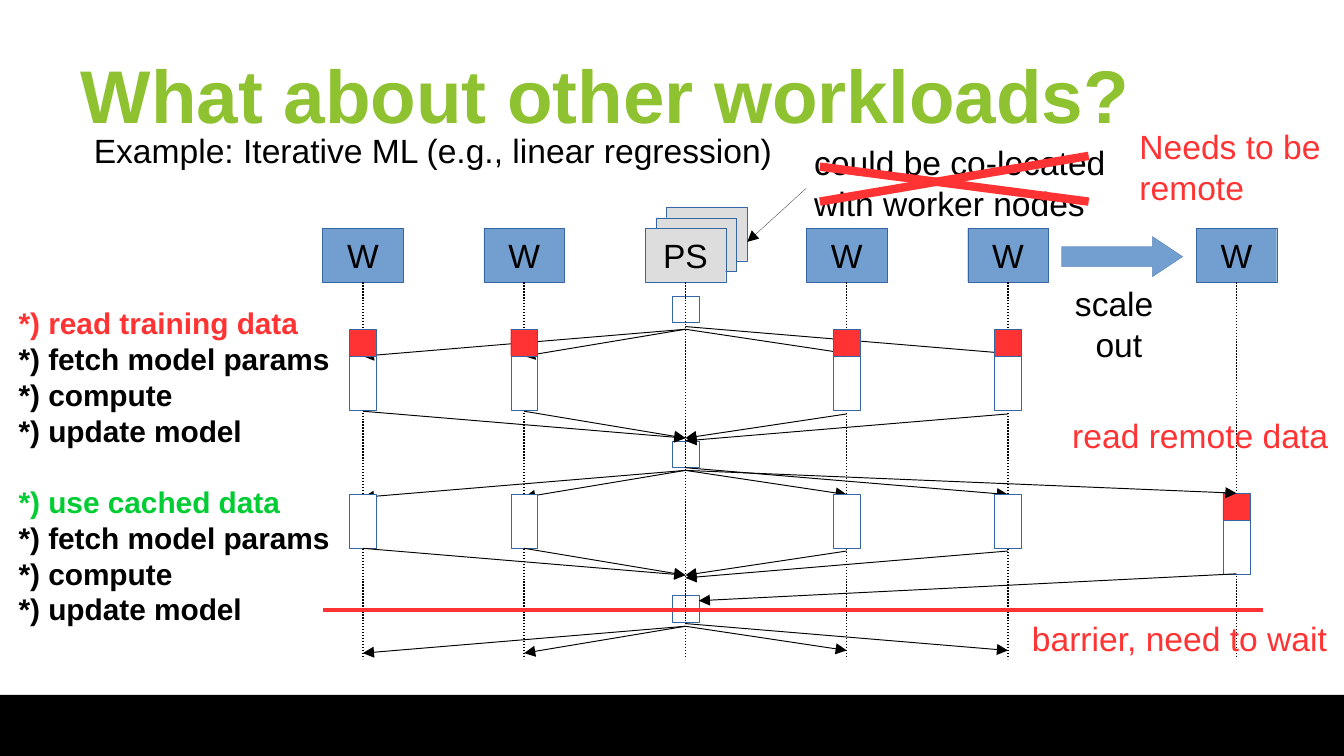
"""Build the slide on scaling out an iterative ML workload."""
from lxml.etree import SubElement
from pptx import Presentation
from pptx.dml.color import RGBColor
from pptx.enum.dml import MSO_LINE
from pptx.enum.shapes import MSO_CONNECTOR, MSO_SHAPE
from pptx.enum.text import MSO_ANCHOR, MSO_AUTO_SIZE, PP_ALIGN
from pptx.oxml.ns import qn
from pptx.util import Inches, Pt

BLACK = RGBColor(0x00, 0x00, 0x00)
WHITE = RGBColor(0xFF, 0xFF, 0xFF)
LIME = RGBColor(0x8F, 0xC2, 0x30)
GREEN = RGBColor(0x00, 0xCC, 0x33)
RED = RGBColor(0xFF, 0x33, 0x33)
BLUE = RGBColor(0x72, 0x9F, 0xCF)
OUTLINE = RGBColor(0x34, 0x65, 0xA4)
GRAY = RGBColor(0xDD, 0xDD, 0xDD)
HAIRLINE = 0.1

prs = Presentation()
prs.slide_width, prs.slide_height = Inches(10), Inches(10 * 9 / 16)
s = prs.slides.add_slide(prs.slide_layouts[5])


def add_box(x, y, w, h, fill, label="", kind=MSO_SHAPE.RECTANGLE):
    sp = s.shapes.add_shape(kind, Inches(x), Inches(y), Inches(w), Inches(h))
    sp.shadow.inherit = False
    sp.fill.solid()
    sp.fill.fore_color.rgb = fill
    sp.line.color.rgb = OUTLINE
    sp.line.width = Pt(HAIRLINE)
    if label:
        tf = sp.text_frame
        tf.word_wrap = False
        tf.vertical_anchor = MSO_ANCHOR.MIDDLE
        p = tf.paragraphs[0]
        p.alignment = PP_ALIGN.CENTER
        r = p.add_run()
        r.text = label
        r.font.name, r.font.size = "Arial", Pt(18)
        r.font.color.rgb = BLACK
    return sp


def add_line(x1, y1, x2, y2, width=0.5, color=BLACK, arrow=True):
    ln = s.shapes.add_connector(MSO_CONNECTOR.STRAIGHT, Inches(x1), Inches(y1),
                                Inches(x2), Inches(y2))
    ln.line.color.rgb = color
    ln.line.width = Pt(width)
    if arrow:
        SubElement(ln._element.spPr.find(qn("a:ln")), qn("a:tailEnd"), type="triangle")
    SubElement(ln._element.spPr, qn("a:effectLst"))
    return ln


footer = add_box(0, 5.17, 10, 0.47, BLACK)
footer.line.fill.background()

title = s.shapes.title
title.left, title.top = Inches(0.5), Inches(0.23)
title.width, title.height = Inches(9), Inches(0.94)
tf = title.text_frame
tf.vertical_anchor = MSO_ANCHOR.MIDDLE
p = tf.paragraphs[0]
p.alignment = PP_ALIGN.LEFT
r = p.add_run()
r.text = "What about other workloads?"
r.font.name, r.font.size, r.font.bold = "Arial", Pt(40), True
r.font.color.rgb = LIME

server_x = 5.1
worker_xs = [2.7, 3.9, 6.3, 7.5]
new_worker_x = 9.2

for x in worker_xs + [new_worker_x]:
    add_box(x - 0.3, 1.7, 0.6, 0.4, BLUE, "W")
    lifeline = add_line(x, 2.1, x, 4.9, 0.79, arrow=False)
    lifeline.line.dash_style = MSO_LINE.ROUND_DOT
for i, label in enumerate(["", "", "PS"]):
    add_box(4.96 - 0.08 * i, 1.54 + 0.08 * i, 0.6, 0.4, GRAY, label)
add_box(7.9, 1.76, 0.9, 0.3, BLUE, kind=MSO_SHAPE.RIGHT_ARROW).adjustments[1] = 0.75

for y in [2.2, 3.28, 4.43]:
    add_box(server_x - 0.1, y, 0.2, 0.2, WHITE)

for x in worker_xs[:3]:
    add_box(x - 0.1, 2.65, 0.2, 0.4, WHITE)

start_shifts = [0, 0, 0, -0.02]
end_shifts = [0.2, 0.2, 0.18, 0.18]
for y in [2.45, 3.5, 4.66]:
    for x, start, end in zip(worker_xs, start_shifts, end_shifts):
        add_line(server_x, y + start, x, y + end)

add_box(worker_xs[3] - 0.1, 2.65, 0.2, 0.4, WHITE)
for x in worker_xs:
    add_box(x - 0.1, 2.45, 0.2, 0.2, RED)
    add_box(x - 0.1, 3.68, 0.2, 0.4, WHITE)
for y in [3.26, 4.28]:
    for x, start, end in zip(worker_xs, end_shifts, start_shifts):
        add_line(x, y - start, server_x, y - end)

add_box(new_worker_x - 0.1, 3.87, 0.2, 0.4, WHITE)
add_box(new_worker_x - 0.1, 3.67, 0.2, 0.2, RED)
add_line(server_x, 3.5, new_worker_x, 3.67)
add_line(new_worker_x, 4.27, server_x + 0.1, 4.47)
lifeline = add_line(server_x, 2.1, server_x, 4.9, 0.79, arrow=False)
lifeline.line.dash_style = MSO_LINE.ROUND_DOT

steps = ["*) fetch model params", "*) compute", "*) update model"]
step_lines = [("*) read training data", RED)] + [(t, BLACK) for t in steps]
step_lines += [("*) use cached data", GREEN)] + [(t, BLACK) for t in steps]
left, center = PP_ALIGN.LEFT, PP_ALIGN.CENTER
notes = [
    (0.6, 0.92, 5.3, 0.66, 18, left,
     [("Example: Iterative ML (e.g., linear regression)", BLACK)]),
    (5.96, 1.01, 2.44, 0.66, 18, left,
     [("could be co-located", BLACK), ("with worker nodes", BLACK)]),
    (8.38, 0.89, 1.74, 0.66, 18, left, [("Needs to be", RED), ("remote", RED)]),
    (0.04, 2.22, 2.56, 3.06, 16, left, step_lines),
    (7.88, 3.04, 2.1, 0.66, 18, left, [("read remote data", RED)]),
    (7.9, 2.06, 0.85, 0.66, 18, center, [("scale ", BLACK), ("out", BLACK)]),
    (7.58, 4.55, 2.39, 0.38, 18, left, [("barrier, need to wait", RED)]),
]
for x, y, w, h, size, align, lines in notes:
    tf = s.shapes.add_textbox(Inches(x), Inches(y), Inches(w), Inches(h)).text_frame
    tf.word_wrap = False
    tf.auto_size = MSO_AUTO_SIZE.NONE
    for i, (text, color) in enumerate(lines):
        p = tf.add_paragraph() if i else tf.paragraphs[0]
        p.alignment = align
        if color == GREEN:
            p.space_before = Pt(19)
        r = p.add_run()
        r.text = text
        r.font.name, r.font.size, r.font.bold = "Arial", Pt(size), size == 16
        r.font.color.rgb = color

add_line(6, 1.4, 5.56, 1.8, HAIRLINE)
add_line(8.1, 1.16, 6.1, 1.5, 4.5, RED, arrow=False)
add_line(8.1, 1.5, 6.1, 1.24, 4.5, RED, arrow=False)
add_line(2.4, 4.54, 9.4, 4.54, 2.3, RED, arrow=False)

prs.save("out.pptx")
